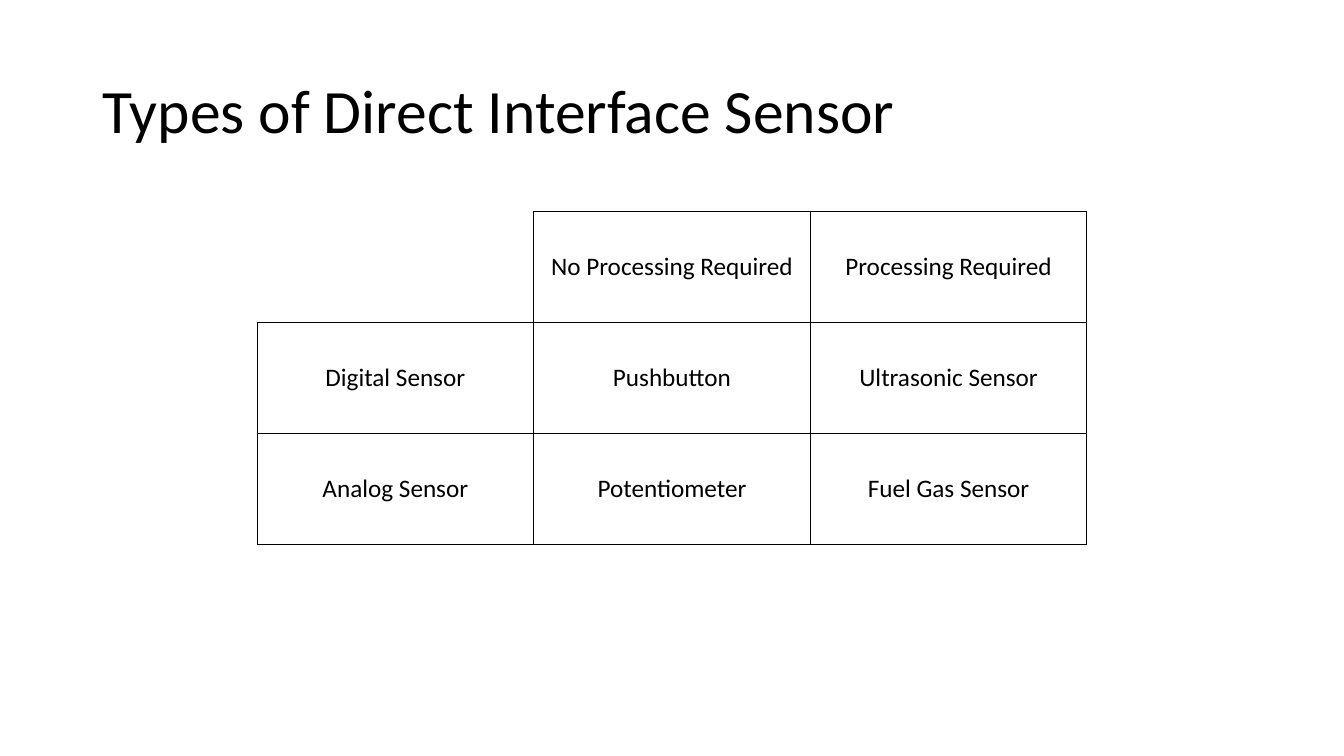
import pptx
import pptx.util
import pptx.dml.color
import pptx.enum.text
import pptx.oxml
import pptx.oxml.ns

Inches = pptx.util.Inches
Pt = pptx.util.Pt
ALIGN = pptx.enum.text.PP_ALIGN
MIDDLE = pptx.enum.text.MSO_ANCHOR.MIDDLE
BLACK = pptx.dml.color.RGBColor(0, 0, 0)

TITLE = {"size": Pt(44), "name": "Calibri"}
BODY = {"size": Pt(18), "name": "Calibri"}
PLAIN = {"first_row": False, "horz_banding": False}
GRID = [
    ["", "No Processing Required", "Processing Required"],
    ["Digital Sensor", "Pushbutton", "Ultrasonic Sensor"],
    ["Analog Sensor", "Potentiometer", "Fuel Gas Sensor"],
]


def apply(item, values):
    for key, value in values.items():
        setattr(item, key, value)


def write(frame, text, font, layout):
    para = frame.paragraphs[0]
    apply(para, layout)
    run = para.add_run()
    run.text = text
    apply(run.font, font)
    run.font.color.rgb = BLACK


def border(cell, sides):
    props = cell._tc.get_or_add_tcPr()
    for side in "LRTB":
        if side in sides:
            paint = f'<a:solidFill><a:srgbClr val="{BLACK}"/></a:solidFill>'
        else:
            paint = "<a:noFill/>"
        props.append(pptx.oxml.parse_xml(
            f'<a:ln{side} {pptx.oxml.ns.nsdecls("a")} w="{Pt(1)}">{paint}</a:ln{side}>'))


def add_title(slide, left, top, width, height):
    box = slide.shapes.add_textbox(left, top, width, height)
    apply(box.text_frame, {"word_wrap": True, "vertical_anchor": MIDDLE})
    write(box.text_frame, "Types of Direct Interface Sensor", TITLE,
          {"alignment": ALIGN.LEFT, "line_spacing": 0.9})


def add_grid(slide, left, top, width, height):
    table = slide.shapes.add_table(
        len(GRID), len(GRID[0]), left, top, width, height).table
    apply(table, PLAIN)
    for row, texts in enumerate(GRID):
        for col, text in enumerate(texts):
            cell = table.cell(row, col)
            border(cell, "LRTB" if text else "RB")
            cell.fill.background()
            cell.vertical_anchor = MIDDLE
            if text:
                write(cell.text_frame, text, BODY, {"alignment": ALIGN.CENTER})


def main():
    deck = pptx.Presentation()
    apply(deck, {"slide_width": Inches(13.33), "slide_height": Inches(7.5)})
    slide = deck.slides.add_slide(deck.slide_layouts[6])
    add_title(slide, Inches(0.92), Inches(0.4), Inches(11.5), Inches(1.45))
    add_grid(slide, Inches(2.55), Inches(2.1), Inches(8.23), Inches(3.3))
    deck.save("out.pptx")


if __name__ == "__main__":
    main()
